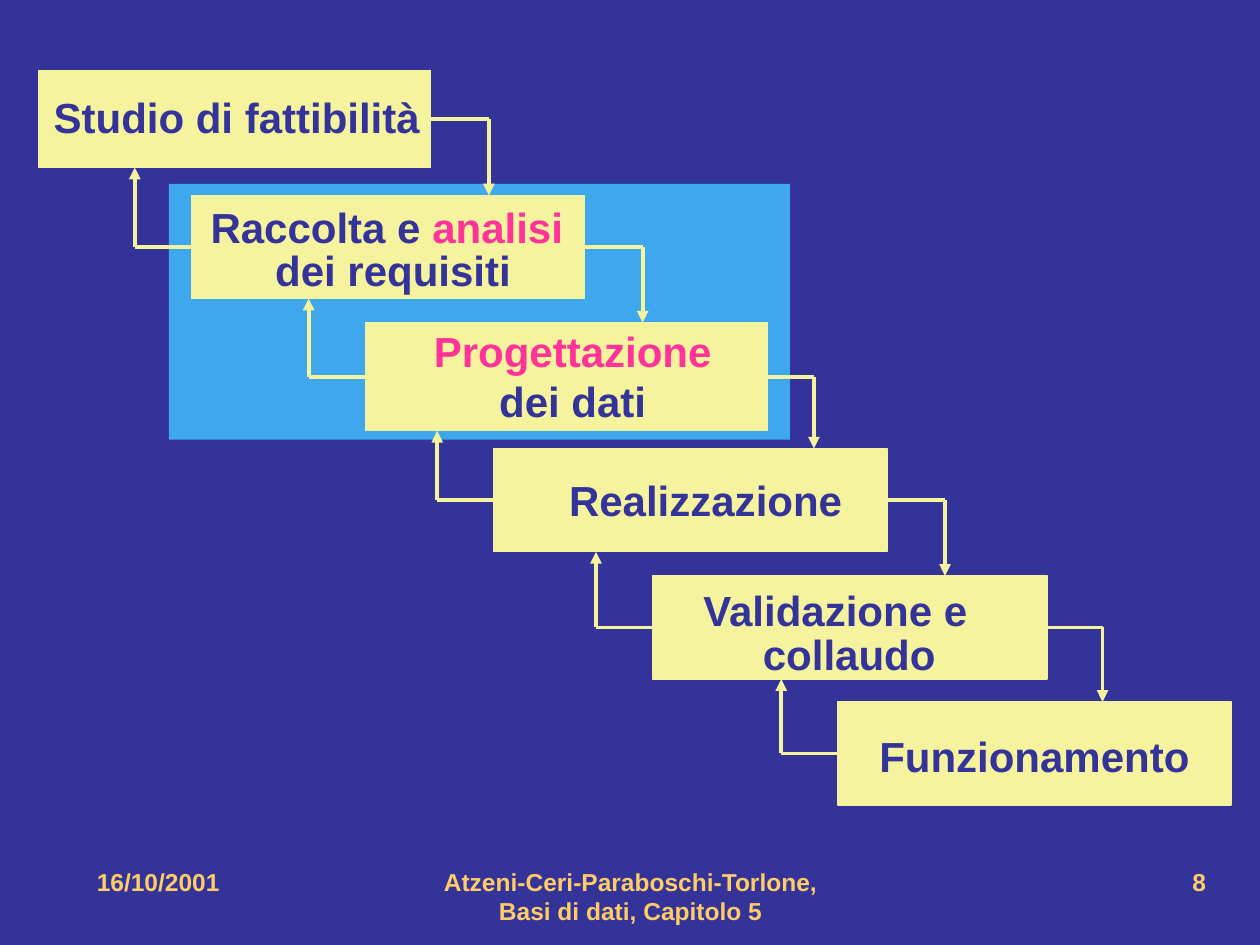
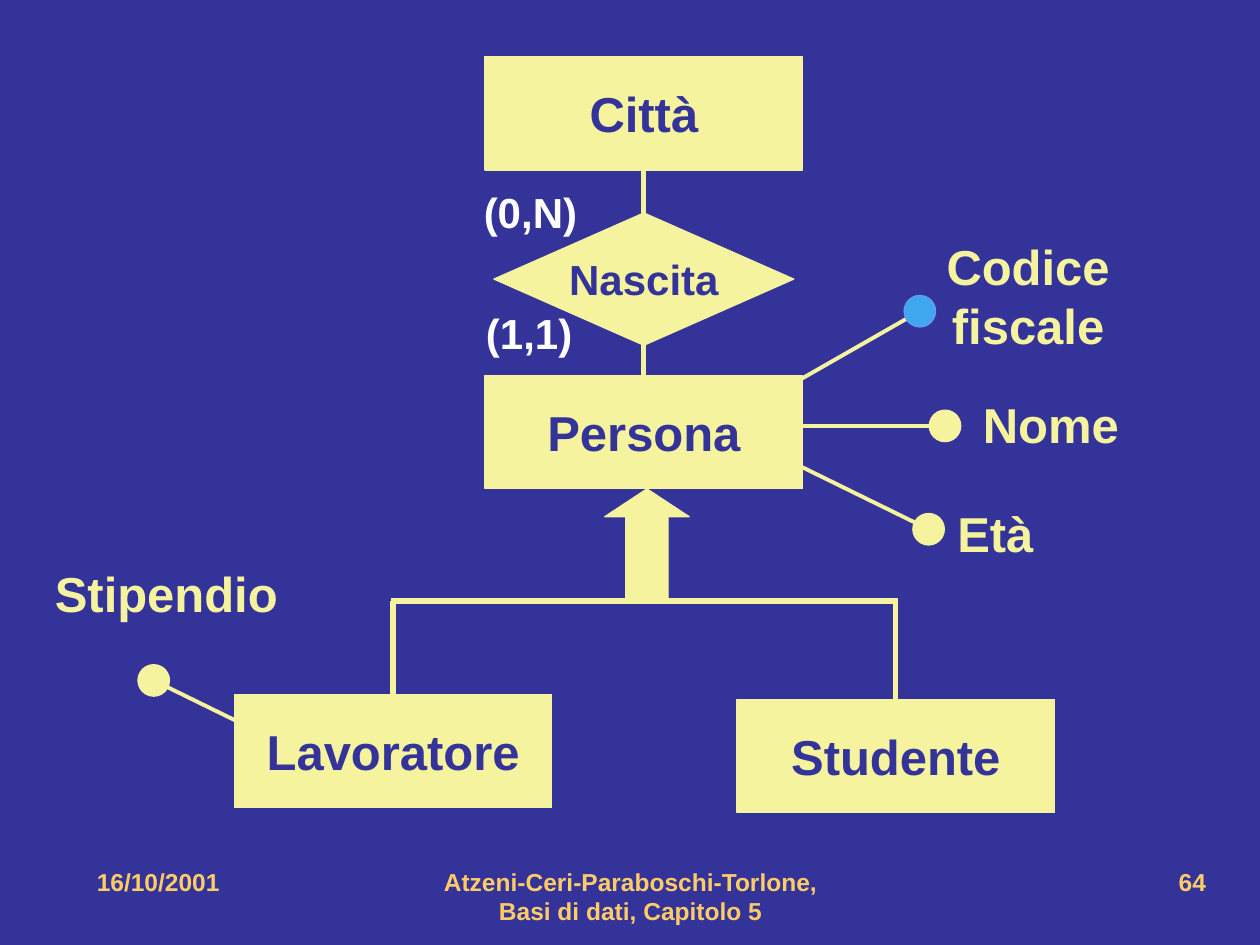
from lxml import etree
from pptx import Presentation, util as u
from pptx.dml.color import RGBColor
from pptx.enum import shapes, text
from pptx.oxml.ns import qn

NAVY, CREAM, SKY, PINK = "333399", "F5F39D", "3EA7EE", "FF3399"
GOLD, WHITE, SKY_EDGE = "FFCC66", "FFFFFF", "6699FF"
FONT = {"name": "Arial", "bold": True}
KINDS = shapes.MSO_SHAPE
ALIGN = text.PP_ALIGN
MIDDLE = text.MSO_ANCHOR.MIDDLE
TOP = text.MSO_ANCHOR.TOP
color = RGBColor.from_string


def add_block(slide, at, kind=None, fill=CREAM, edge=CREAM, words=(), size=28, ink=NAVY,
              align=ALIGN.CENTER, anchor=MIDDLE, inset=(0.1, 0.05), wrap=False):
    """Add a shape, or a text box if kind is None; words holds paragraphs of (text, colour) runs."""
    box = [u.Inches(value) for value in at]
    if kind is None:
        shape = slide.shapes.add_textbox(*box)
    else:
        shape = slide.shapes.add_shape(kind, *box)
        shape.shadow.inherit = False
        shape.fill.solid()
        shape.fill.fore_color.rgb = color(fill)
        if edge:
            shape.line.color.rgb = color(edge)
            shape.line.width = u.Pt(0.75)
        else:
            shape.line.fill.background()
    if not words:
        return shape
    frame = shape.text_frame
    side, end = (u.Inches(value) for value in inset)
    layout = {"word_wrap": wrap, "vertical_anchor": anchor, "margin_left": side,
              "margin_right": side, "margin_top": end, "margin_bottom": end}
    if kind is None and not wrap:
        layout["auto_size"] = text.MSO_AUTO_SIZE.SHAPE_TO_FIT_TEXT
    for name, value in layout.items():
        setattr(frame, name, value)
    for index, runs in enumerate(words):
        paragraph = frame.add_paragraph() if index else frame.paragraphs[0]
        paragraph.alignment = align
        for content, run_ink in [(runs, ink)] if isinstance(runs, str) else runs:
            run = paragraph.add_run()
            run.text = content
            for name, value in {**FONT, "size": u.Pt(size)}.items():
                setattr(run.font, name, value)
            run.font.color.rgb = color(run_ink)
    return shape


def add_line(slide, start, end, width=2.25, arrow=False):
    ends = [u.Inches(value) for value in (*start, *end)]
    line = slide.shapes.add_connector(shapes.MSO_CONNECTOR.STRAIGHT, *ends)
    line.line.color.rgb = color(CREAM)
    line.line.width = u.Pt(width)
    properties = line._element.spPr
    if arrow:
        etree.SubElement(properties.get_or_add_ln(), qn("a:tailEnd"), type="triangle")
    etree.SubElement(properties, qn("a:effectLst"))
    return line


prs = Presentation()
prs.slide_width, prs.slide_height = u.Inches(10), u.Inches(7.5)
background = prs.slide_master.background.fill
background.solid()
background.fore_color.rgb = color(NAVY)
life_cycle, er_schema = (prs.slides.add_slide(prs.slide_layouts[6]) for _ in range(2))

for slide, number in ((life_cycle, "8"), (er_schema, "64")):
    for left, width, words, align in (
            (3.42, 3.17, "Atzeni-Ceri-Paraboschi-Torlone, Basi di dati, Capitolo 5", ALIGN.CENTER),
            (7.17, 2.5, number, ALIGN.RIGHT),
            (0.67, 2.17, "16/10/2001", ALIGN.LEFT)):
        add_block(slide, (left, 6.83, width, 0.5), words=[words], size=14, ink=GOLD,
                  align=align, anchor=TOP, wrap=True)

# Life cycle: a staircase of stages joined by forward and backward arrows
add_block(life_cycle, (1.34, 1.46, 4.93, 2.03), KINDS.RECTANGLE, SKY, None)
stage_places = [(0.31, 0.56, 3.11, 0.77), (1.52, 1.55, 3.12, 0.82), (2.9, 2.56, 3.19, 0.86),
                (3.92, 3.56, 3.12, 0.82), (5.18, 4.57, 3.13, 0.82), (6.65, 5.57, 3.12, 0.82)]
stages = [add_block(life_cycle, place, KINDS.RECTANGLE) for place in stage_places]

captions = [
    ((0.36, 0.73, 3.04, 0.4), ["Studio di fattibilità"]),
    ((1.57, 1.6, 3, 0.4), [[("Raccolta e ", NAVY), ("analisi", PINK)]]),
    ((2.07, 1.94, 2.1, 0.4), ["dei requisiti"]),
    ((3.42, 2.58, 2.25, 0.8), [[("Progettazione", PINK)], "dei dati"]),
    ((4.45, 3.77, 2.3, 0.4), ["Realizzazione"]),
    ((5.48, 4.64, 2.3, 0.4), ["Validazione e"]),
    ((5.99, 4.99, 1.5, 0.4), ["collaudo"]),
    ((6.91, 5.8, 2.6, 0.4), ["Funzionamento"]),
]
for place, words in captions:
    add_block(life_cycle, place, words=words, size=24, anchor=TOP, inset=(0, 0))

forward_turns = [3.88, 5.1, 6.46, 7.5, 8.75]
for step, forward_x in enumerate(forward_turns):
    left, top, width, height = stage_places[step]
    next_left, next_top, _, next_height = stage_places[step + 1]
    middle, next_middle = top + height / 2, next_top + next_height / 2
    back_x = next_left - 0.45
    out = add_line(life_cycle, (left + width, middle), (forward_x, middle))
    out.begin_connect(stages[step], 3)
    add_line(life_cycle, (forward_x, middle), (forward_x, next_top), arrow=True)
    back = add_line(life_cycle, (next_left, next_middle), (back_x, next_middle))
    back.begin_connect(stages[step + 1], 1)
    add_line(life_cycle, (back_x, next_middle), (back_x, top + height), arrow=True)

# ER schema: attributes first, so that the entities cover the line ends
DOT = 0.25
attributes = [
    ((6.32, 3.03), (7.3, 2.47), SKY, SKY_EDGE, (7.36, 1.83, 1.6, 1.04), ["Codice", "fiscale"]),
    ((6.36, 3.38), (7.5, 3.38), CREAM, CREAM, (7.64, 3.08, 1.4, 0.57), ["Nome"]),
    ((6.31, 3.68), (7.37, 4.2), CREAM, CREAM, (7.4, 3.95, 1, 0.57), ["Età"]),
    ((2.28, 5.92), (1.22, 5.4), CREAM, CREAM, (0.27, 4.42, 2.1, 0.57), ["Stipendio"]),
]
for start, (x, y), fill, edge, label_place, label in attributes:
    add_line(er_schema, start, (x, y))
    add_block(er_schema, (x - DOT / 2, y - DOT / 2, DOT, DOT), KINDS.OVAL, fill, edge)
    add_block(er_schema, label_place, words=label, ink=CREAM, anchor=TOP)

city, person, worker, student = (
    add_block(er_schema, (left, top, 2.52, 0.9), KINDS.RECTANGLE, words=[name])
    for name, left, top in (("Città", 3.85, 0.45), ("Persona", 3.85, 2.98),
                            ("Lavoratore", 1.86, 5.51), ("Studente", 5.85, 5.55)))
birth = add_block(er_schema, (3.92, 1.69, 2.38, 1.05), KINDS.DIAMOND, words=["Nascita"], size=24)
for upper, lower in ((city, birth), (birth, person)):
    link = add_line(er_schema, (5.11, 1.35), (5.11, 2.98), 3)
    link.begin_connect(upper, 2)
    link.end_connect(lower, 0)
for place, cardinality in (((3.66, 1.43, 1.1, 0.5), "(0,N)"), ((3.65, 2.39, 1.1, 0.5), "(1,1)")):
    add_block(er_schema, place, words=[cardinality], size=24, ink=WHITE)

# Generalization of worker and student into person
BUS_Y, WORKER_X, STUDENT_X = 4.77, 3.12, 7.11
add_line(er_schema, (WORKER_X - 0.02, BUS_Y), (STUDENT_X + 0.02, BUS_Y), 3)
for child, x in ((worker, WORKER_X), (student, STUDENT_X)):
    add_line(er_schema, (x, BUS_Y), (x, 5.5), 3).end_connect(child, 0)
generalization = add_block(er_schema, (4.8, 3.88, 0.67, 0.89), KINDS.UP_ARROW)
generalization.adjustments[0] = 0.5
generalization.adjustments[1] = 0.33

prs.save("out.pptx")
